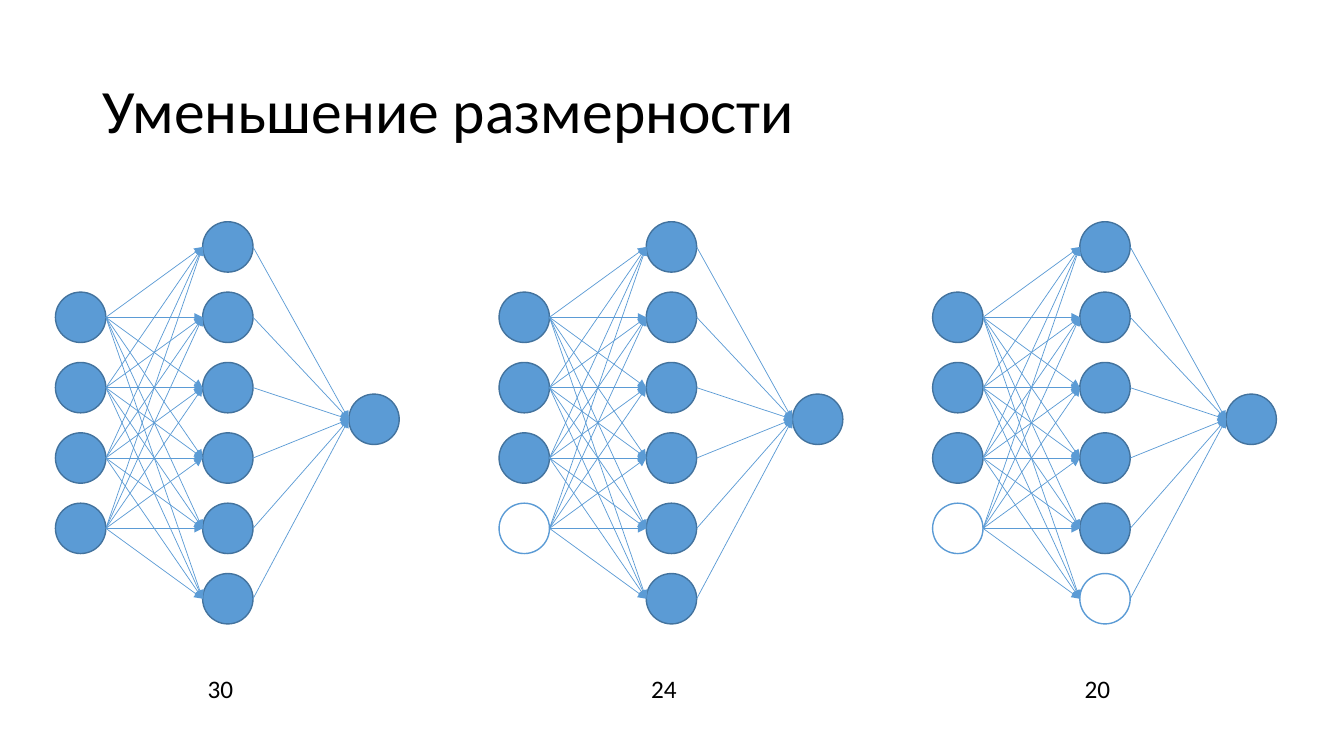
from dataclasses import dataclass
from itertools import product

from lxml import etree
from pptx import Presentation
from pptx.dml.color import RGBColor
from pptx.enum import shapes, text
from pptx.oxml import ns
from pptx.slide import Slide
from pptx.util import Inches, Pt


@dataclass(frozen=True)
class Theme:
    font: str = "Calibri"
    ink: RGBColor = RGBColor(0x00, 0x00, 0x00)
    neuron: RGBColor = RGBColor(0x5B, 0x9B, 0xD5)
    outline: RGBColor = RGBColor(0x43, 0x73, 0x9E)
    removed: RGBColor = RGBColor(0xFF, 0xFF, 0xFF)
    title_size: int = 44
    count_size: int = 18
    outline_width: float = 1
    link_width: float = 0.5


@dataclass(frozen=True)
class Neuron:
    left: float
    top: float
    active: bool = True

    @property
    def middle(self) -> float:
        return self.top + DIAMETER / 2


@dataclass(frozen=True)
class Network:
    left: float
    weights: str
    active_inputs: int
    active_hidden: int


THEME = Theme()
DIAMETER = 0.5
FIRST_ROW, LAST_ROW, HIDDEN_COUNT = 2.2, 5.69, 6
ROW_STEP = (LAST_ROW - FIRST_ROW) / (HIDDEN_COUNT - 1)
INPUT_ROWS = range(1, 5)
HIDDEN_OFFSET, OUTPUT_OFFSET, COUNT_OFFSET = 1.46, 2.91, 1.41
OUTPUT_TOP, COUNT_TOP = 3.91, 6.63

NETWORKS = [
    Network(0.55, "30", active_inputs=4, active_hidden=6),
    Network(4.95, "24", active_inputs=3, active_hidden=6),
    Network(9.25, "20", active_inputs=3, active_hidden=5),
]


def add_text(slide: Slide, words: str, left: float, top: float, width: float,
             height: float, size: int, wrap: bool = True,
             anchor: text.MSO_ANCHOR = text.MSO_ANCHOR.TOP,
             spacing: float = 1.0) -> None:
    frame = slide.shapes.add_textbox(
        Inches(left), Inches(top), Inches(width), Inches(height)).text_frame
    frame.word_wrap = wrap
    frame.vertical_anchor = anchor
    paragraph = frame.paragraphs[0]
    paragraph.line_spacing = spacing
    run = paragraph.add_run()
    run.text = words
    run.font.name = THEME.font
    run.font.size = Pt(size)
    run.font.color.rgb = THEME.ink


def add_neuron(slide: Slide, neuron: Neuron) -> None:
    circle = slide.shapes.add_shape(
        shapes.MSO_SHAPE.FLOWCHART_CONNECTOR, Inches(neuron.left),
        Inches(neuron.top), Inches(DIAMETER), Inches(DIAMETER))
    circle.shadow.inherit = False
    circle.fill.solid()
    circle.fill.fore_color.rgb = THEME.neuron if neuron.active else THEME.removed
    circle.line.color.rgb = THEME.outline if neuron.active else THEME.neuron
    circle.line.width = Pt(THEME.outline_width)


def add_link(slide: Slide, source: Neuron, target: Neuron) -> None:
    link = slide.shapes.add_connector(
        shapes.MSO_CONNECTOR.STRAIGHT,
        Inches(source.left + DIAMETER), Inches(source.middle),
        Inches(target.left), Inches(target.middle))
    link.line.color.rgb = THEME.neuron
    link.line.width = Pt(THEME.link_width)
    arrow = etree.SubElement(link.line._get_or_add_ln(), ns.qn("a:tailEnd"))
    arrow.set("type", "triangle")
    etree.SubElement(link._element.spPr, ns.qn("a:effectLst"))


def add_network(slide: Slide, network: Network) -> None:
    # Layers, with removed neurons at the bottom
    inputs = [Neuron(network.left, FIRST_ROW + row * ROW_STEP,
                     index < network.active_inputs)
              for index, row in enumerate(INPUT_ROWS)]
    hidden = [Neuron(network.left + HIDDEN_OFFSET, FIRST_ROW + row * ROW_STEP,
                     row < network.active_hidden)
              for row in range(HIDDEN_COUNT)]
    output = Neuron(network.left + OUTPUT_OFFSET, OUTPUT_TOP)
    for neuron in [*inputs, *hidden, output]:
        add_neuron(slide, neuron)

    # Every neuron feeds the whole next layer
    for source, target in [*product(inputs, hidden), *product(hidden, [output])]:
        add_link(slide, source, target)

    # Number of weights
    add_text(slide, network.weights, network.left + COUNT_OFFSET, COUNT_TOP,
             0.55, 0.4, THEME.count_size, wrap=False)


def main() -> None:
    deck = Presentation()
    deck.slide_width, deck.slide_height = Inches(13.33), Inches(7.5)
    slide = deck.slides.add_slide(deck.slide_layouts[6])

    # Title
    add_text(slide, "Уменьшение размерности", 0.92, 0.4, 11.5, 1.45,
             THEME.title_size, anchor=text.MSO_ANCHOR.MIDDLE, spacing=0.9)

    # Networks, from full to reduced
    for network in NETWORKS:
        add_network(slide, network)

    deck.save("out.pptx")


main()
